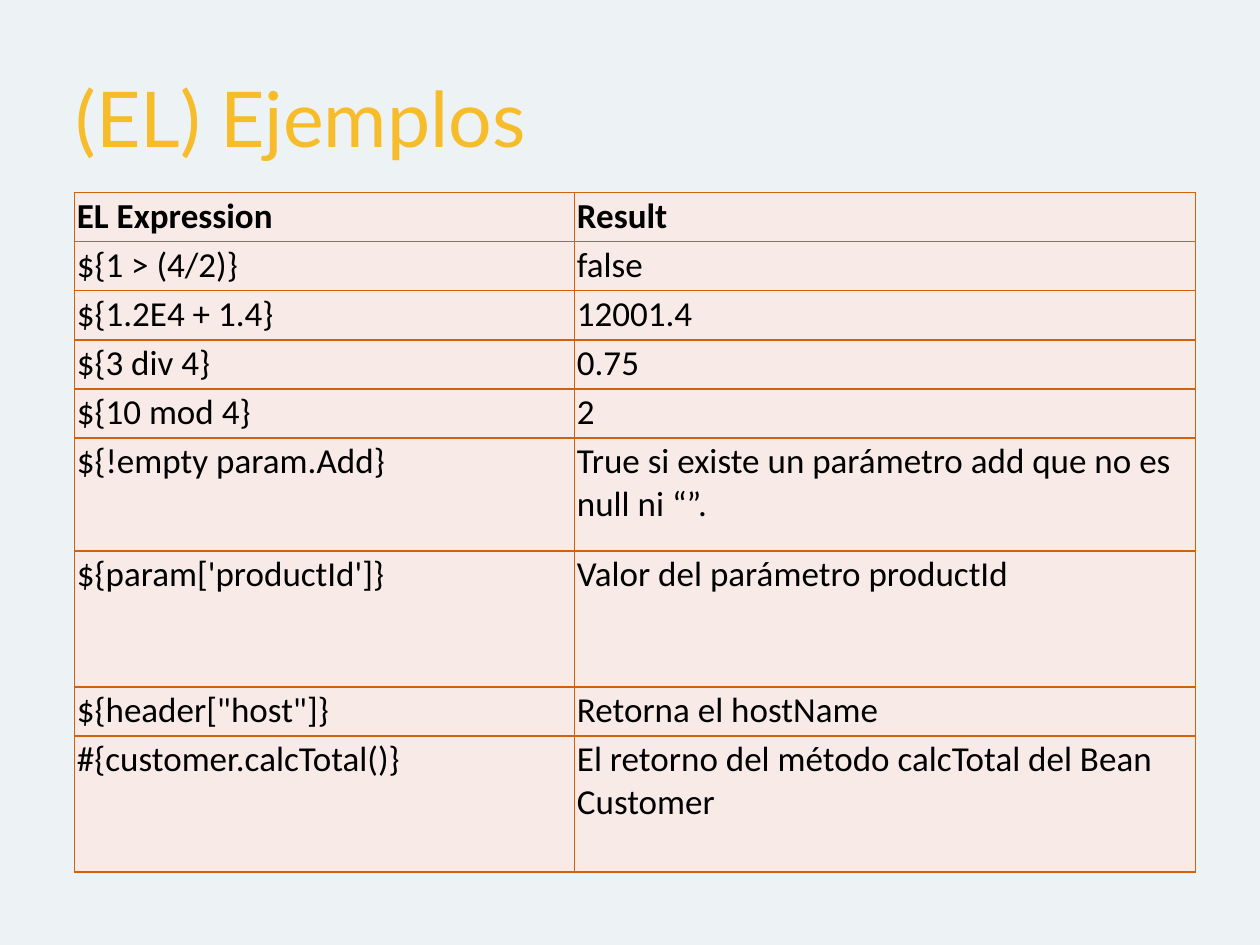
from dataclasses import dataclass

from lxml import etree
from pptx import Presentation
from pptx.dml.color import RGBColor
from pptx.enum.text import MSO_ANCHOR, PP_ALIGN
from pptx.oxml.ns import qn
from pptx.util import Cm, Pt

LEFT = PP_ALIGN.LEFT
TOP, MIDDLE = MSO_ANCHOR.TOP, MSO_ANCHOR.MIDDLE
TITLE_ONLY = 5


@dataclass(frozen=True)
class Theme:
    background: str = "EDF2F5"
    title: str = "F6BC29"
    text: str = "000000"
    cell: str = "F7EAE7"
    border: str = "D2610C"
    title_font: str = "Lato"
    body_font: str = "Calibri"
    title_size: int = 44
    body_size: int = 20
    border_width: int = 1


@dataclass(frozen=True)
class Example:
    expression: str
    result: str
    height: float = 0.99  # cm, one line of text
    bold: bool = False


THEME = Theme()
COLUMN_WIDTHS = (10.08, 12.52)
EXAMPLES = (
    Example("EL Expression", "Result", bold=True),
    Example("${1 > (4/2)}", "false"),
    Example("${1.2E4 + 1.4}", "12001.4"),
    Example("${3 div 4}", "0.75"),
    Example("${10 mod 4}", "2"),
    Example("${!empty param.Add}",
            "True si existe un parámetro add que no es null ni “”.", 2.28),
    Example("${param['productId']}", "Valor del parámetro productId", 2.74),
    Example('${header["host"]}', "Retorna el hostName"),
    Example("#{customer.calcTotal()}",
            "El retorno del método calcTotal del Bean Customer", 2.74),
)


def add_text(tf, text: str, font: str, size: int, color: str,
             bold: bool = False) -> None:
    p = tf.paragraphs[0]
    p.alignment = LEFT
    r = p.add_run()
    r.text = text
    r.font.name = font
    r.font.size = Pt(size)
    r.font.bold = bold
    r.font.color.rgb = RGBColor.from_string(color)


def add_borders(cell) -> None:
    tc_pr = cell._tc.get_or_add_tcPr()
    # Border lines must come before the fill
    for i, side in enumerate(("lnL", "lnR", "lnT", "lnB")):
        ln = etree.Element(qn(f"a:{side}"), w=str(Pt(THEME.border_width)))
        fill = etree.SubElement(ln, qn("a:solidFill"))
        etree.SubElement(fill, qn("a:srgbClr"), val=THEME.border)
        tc_pr.insert(i, ln)


def fill_cell(cell, text: str, bold: bool) -> None:
    cell.margin_left = cell.margin_right = cell.margin_top = Cm(0.05)
    cell.margin_bottom = Cm(0.07)
    cell.vertical_anchor = TOP
    cell.fill.solid()
    cell.fill.fore_color.rgb = RGBColor.from_string(THEME.cell)
    add_borders(cell)
    add_text(cell.text_frame, text, THEME.body_font, THEME.body_size,
             THEME.text, bold)


def add_title(s, text: str) -> None:
    sp = s.shapes.title
    sp.left, sp.top, sp.width, sp.height = Cm(1.27), Cm(0.76), Cm(22.86), Cm(3.18)
    sp.text_frame.vertical_anchor = MIDDLE
    add_text(sp.text_frame, text, THEME.title_font, THEME.title_size, THEME.title)


def add_examples(s, examples: tuple[Example, ...]) -> None:
    height = sum(example.height for example in examples)
    table = s.shapes.add_table(len(examples), len(COLUMN_WIDTHS), Cm(1.5), Cm(3.88),
                               Cm(sum(COLUMN_WIDTHS)), Cm(height)).table
    table.horz_banding = False
    for column, width in zip(table.columns, COLUMN_WIDTHS):
        column.width = Cm(width)
    for row, example in zip(table.rows, examples):
        row.height = Cm(example.height)
        for cell, text in zip(row.cells, (example.expression, example.result)):
            fill_cell(cell, text, example.bold)


def main() -> None:
    prs = Presentation()
    prs.slide_width, prs.slide_height = Cm(25.4), Cm(19.05)
    s = prs.slides.add_slide(prs.slide_layouts[TITLE_ONLY])

    # Background
    s.background.fill.solid()
    s.background.fill.fore_color.rgb = RGBColor.from_string(THEME.background)

    # Title and table of expressions
    add_title(s, "(EL) Ejemplos")
    add_examples(s, EXAMPLES)
    prs.save("out.pptx")


if __name__ == "__main__":
    main()
